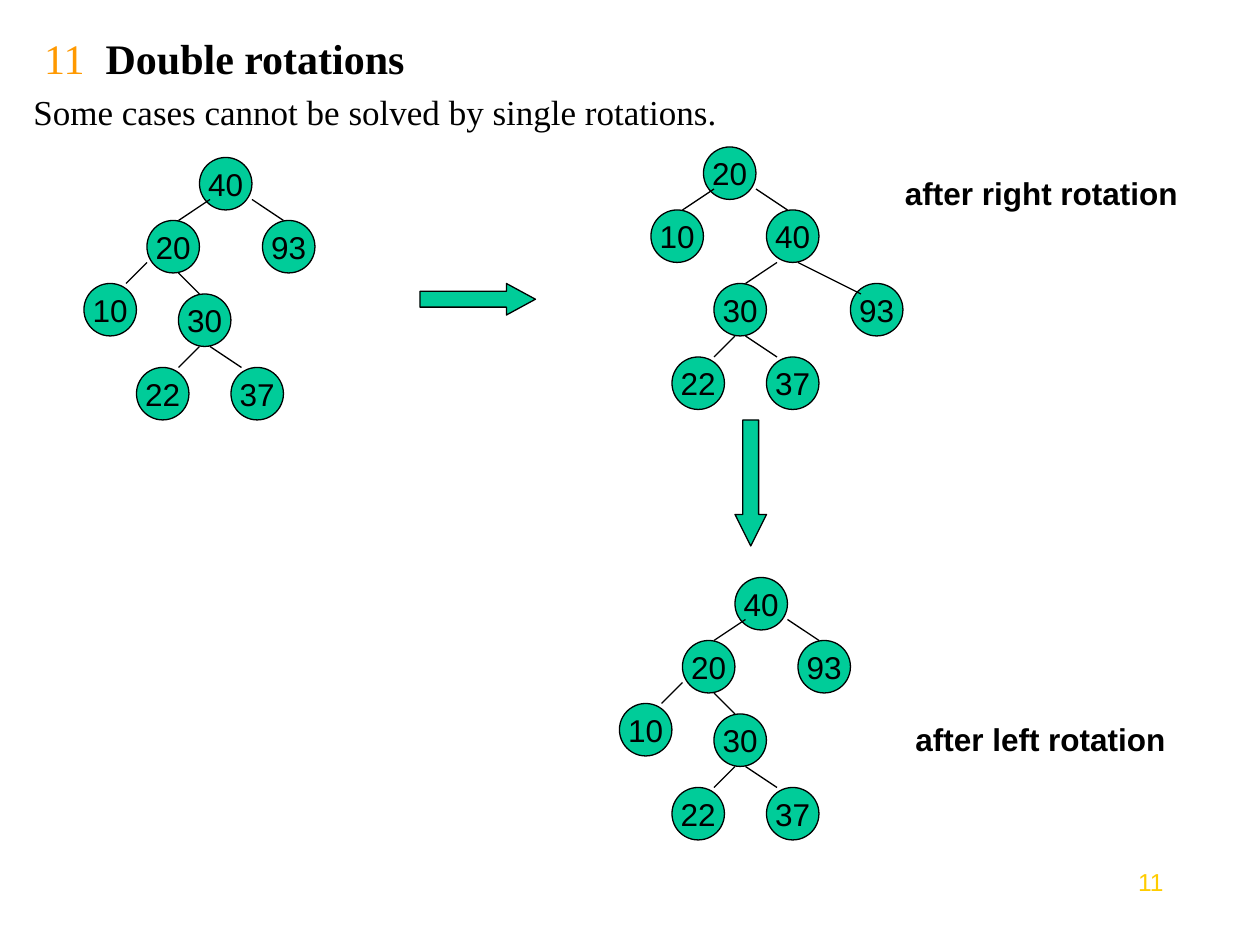
import pptx
import pptx.util
import pptx.dml.color
import pptx.enum.shapes
import pptx.enum.text
import pptx.oxml.ns
import lxml.etree

Cm, Pt = pptx.util.Cm, pptx.util.Pt
Kind = pptx.enum.shapes.MSO_SHAPE
Align = pptx.enum.text.PP_ALIGN
Anchor = pptx.enum.text.MSO_ANCHOR
Fit = pptx.enum.text.MSO_AUTO_SIZE
SERIF, SANS = "Times New Roman", "Arial"
BLACK, GREEN, ORANGE, GOLD = "000000", "00CC99", "FF9900", "FFCC00"


def color(code):
    """Turn a hex string into a colour."""
    return pptx.dml.color.RGBColor.from_string(code)


def grid(count):
    """Give the length of count grid steps, twelve to the inch."""
    return Cm(count * 2.54 / 12)


class Page:
    """Hold the slide and its style, and draw each kind of element."""

    node_size = 5
    line_width = Pt(0.74)

    def __init__(self, slide):
        """Keep the slide to draw on."""
        self.slide = slide

    def fill(self, frame, runs, size, font, align=Align.LEFT):
        """Fill a frame with runs of (text, colour, bold)."""
        para = frame.paragraphs[0]
        para.alignment = align
        for text, code, bold in runs:
            run = para.add_run()
            run.text = text
            run.font.size = Pt(size)
            run.font.name = font
            run.font.bold = bold
            run.font.color.rgb = color(code)

    def title(self, box, runs):
        """Place and fill the title."""
        shape = self.slide.shapes.title
        shape.left, shape.top, shape.width, shape.height = map(grid, box)
        frame = shape.text_frame
        frame.auto_size = Fit.NONE
        frame.vertical_anchor = Anchor.MIDDLE
        self.fill(frame, runs, 24, SERIF)

    def label(self, box, text, size, font=SANS, code=BLACK, bold=False,
              align=Align.LEFT):
        """Add a text box."""
        frame = self.slide.shapes.add_textbox(*map(grid, box)).text_frame
        frame.word_wrap = True
        self.fill(frame, [(text, code, bold)], size, font, align)

    def shape(self, home, kind, box):
        """Add a green shape with a thin black outline."""
        shape = home.add_shape(kind, *map(grid, box))
        shape.shadow.inherit = False
        shape.fill.solid()
        shape.fill.fore_color.rgb = color(GREEN)
        shape.line.color.rgb = color(BLACK)
        shape.line.width = self.line_width
        return shape

    def arrow(self, kind, box, head):
        """Add a block arrow with the given head length."""
        shape = self.shape(self.slide.shapes, kind, box)
        shape.adjustments[0] = 0.5
        shape.adjustments[1] = head

    def node(self, home, left, top, key):
        """Add a round tree node."""
        box = left, top, self.node_size, self.node_size
        frame = self.shape(home, Kind.OVAL, box).text_frame
        frame.word_wrap = False
        frame.vertical_anchor = Anchor.MIDDLE
        self.fill(frame, [(key, BLACK, False)], 18, SANS, Align.CENTER)

    def edge(self, home, ends):
        """Add a straight tree edge."""
        line = home.add_connector(
            pptx.enum.shapes.MSO_CONNECTOR.STRAIGHT, *map(grid, ends))
        line.line.color.rgb = color(BLACK)
        line.line.width = self.line_width
        props = line._element.spPr
        lxml.etree.SubElement(props, pptx.oxml.ns.qn("a:effectLst"))

    def tree(self, left, top, nodes, edges):
        """Add a tree as one group, offset from its left top corner."""
        home = self.slide.shapes.add_group_shape().shapes
        for key, x, y in nodes:
            self.node(home, left + x, top + y, key)
        for x1, y1, x2, y2 in edges:
            self.edge(home, (left + x1, top + y1, left + x2, top + y2))


# Nodes are (key, x, y) and edges (x1, y1, x2, y2), in grid steps
ZIGZAG = (
    [("40", 11, 0), ("20", 6, 6), ("93", 17, 6), ("10", 0, 12),
     ("30", 9, 13), ("22", 5, 20), ("37", 14, 20)],
    [(12, 4, 9, 6), (16, 4, 19, 6), (6, 10, 4, 12),
     (9, 11, 11, 13), (11, 18, 9, 20), (12, 18, 15, 20)],
)
TURNED = (
    [("20", 5, 0), ("10", 0, 6), ("40", 11, 6), ("93", 19, 13),
     ("30", 6, 13), ("22", 2, 20), ("37", 11, 20)],
    [(6, 4, 3, 6), (10, 4, 13, 6), (8, 18, 6, 20),
     (9, 18, 12, 20), (12, 11, 9, 13), (14, 11, 20, 14)],
)


def main():
    """Build and save the slide."""
    deck = pptx.Presentation()
    deck.slide_width, deck.slide_height = Cm(25.4), Cm(19.05)
    page = Page(deck.slides.add_slide(deck.slide_layouts[5]))
    page.label((104, 82, 8, 6.2), "11", 14, code=GOLD, align=Align.RIGHT)
    page.title((3, 3, 102, 5),
               [("11  ", ORANGE, False), ("Double rotations", BLACK, True)])
    page.label((2, 8, 112, 5.25),
               "Some cases cannot be solved by single rotations. ", 20, SERIF)
    page.tree(8, 15, *ZIGZAG)
    page.arrow(Kind.RIGHT_ARROW, (40, 27, 11, 3), 0.92)
    page.label((85, 16, 31, 4.8), "after right rotation", 18, bold=True)
    page.tree(59, 55, *ZIGZAG)
    page.tree(62, 14, *TURNED)
    page.label((86, 68, 30, 4.8), "after left rotation", 18, bold=True)
    page.arrow(Kind.DOWN_ARROW, (70, 40, 3, 12), 1)
    deck.save("out.pptx")


main()
